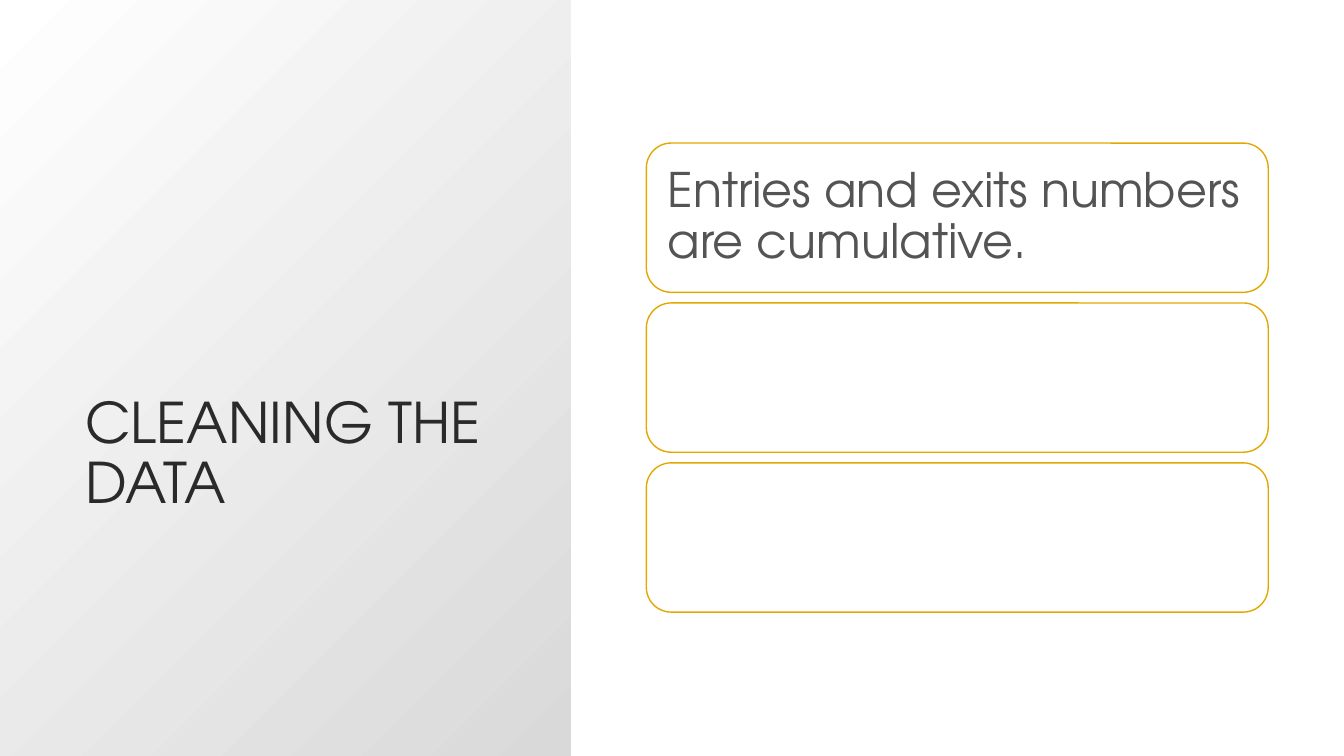
from pptx import Presentation
from pptx.dml.color import RGBColor
from pptx.enum.shapes import MSO_SHAPE
from pptx.enum.text import MSO_ANCHOR, PP_ALIGN
from pptx.util import Pt

RECT, ROUND = MSO_SHAPE.RECTANGLE, MSO_SHAPE.ROUNDED_RECTANGLE
BOTTOM, MIDDLE = MSO_ANCHOR.BOTTOM, MSO_ANCHOR.MIDDLE
LEFT = PP_ALIGN.LEFT
FACE = "TeX Gyre Adventor"


def paint(color, code):
    color.rgb = RGBColor.from_string(code)


def write(shape, text, size, code, style):
    frame = shape.text_frame
    for key, value in style.items():
        setattr(frame, key, value)
    para = frame.paragraphs[0]
    para.alignment = LEFT
    para.line_spacing = 0.9
    run = para.add_run()
    run.text = text
    for key, value in {"name": FACE, "size": Pt(size)}.items():
        setattr(run.font, key, value)
    paint(run.font.color, code)


deck = Presentation()
deck.slide_width, deck.slide_height = Pt(960), Pt(540)
slide = deck.slides.add_slide(deck.slide_layouts[6])
shapes = slide.shapes

panel = shapes.add_shape(RECT, Pt(0), Pt(0), Pt(407.8), Pt(540))
panel.shadow.inherit = False
panel.line.fill.background()
panel.fill.gradient()
panel.fill.gradient_angle = 315
for stop, code in zip(panel.fill.gradient_stops, ("FFFFFF", "D9D9D9")):
    paint(stop.color, code)

title = shapes.add_textbox(Pt(54), Pt(54), Pt(306), Pt(318))
write(title, "CLEANING THE DATA", 40, "2A2A2A",
      {"word_wrap": True, "vertical_anchor": BOTTOM})

inset = {"margin_" + side: Pt(10) for side in ("left", "top", "right", "bottom")}
high, gap = 106.6, 7.6
for row, text in enumerate(("Entries and exits numbers are cumulative.", "", "")):
    top = 102.2 + row * (high + gap)
    card = shapes.add_shape(ROUND, Pt(461.7), Pt(top), Pt(444.2), Pt(high))
    card.shadow.inherit = False
    card.fill.solid()
    paint(card.fill.fore_color, "FFFFFF")
    paint(card.line.color, "E3A800")
    card.line.width = Pt(1)
    if text:
        write(card, text, 34, "545454",
              {"word_wrap": True, "vertical_anchor": MIDDLE, **inset})

deck.save("out.pptx")
